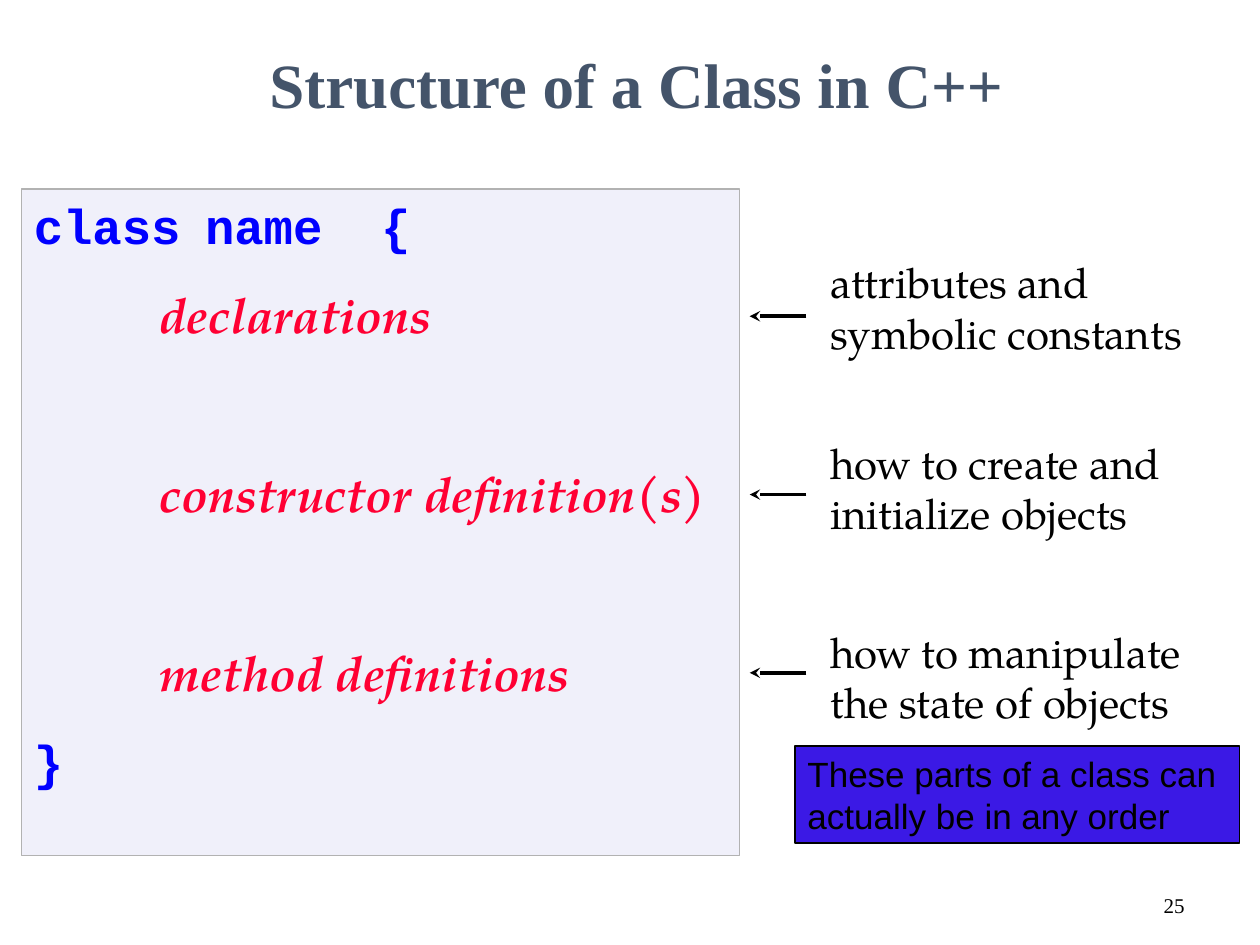
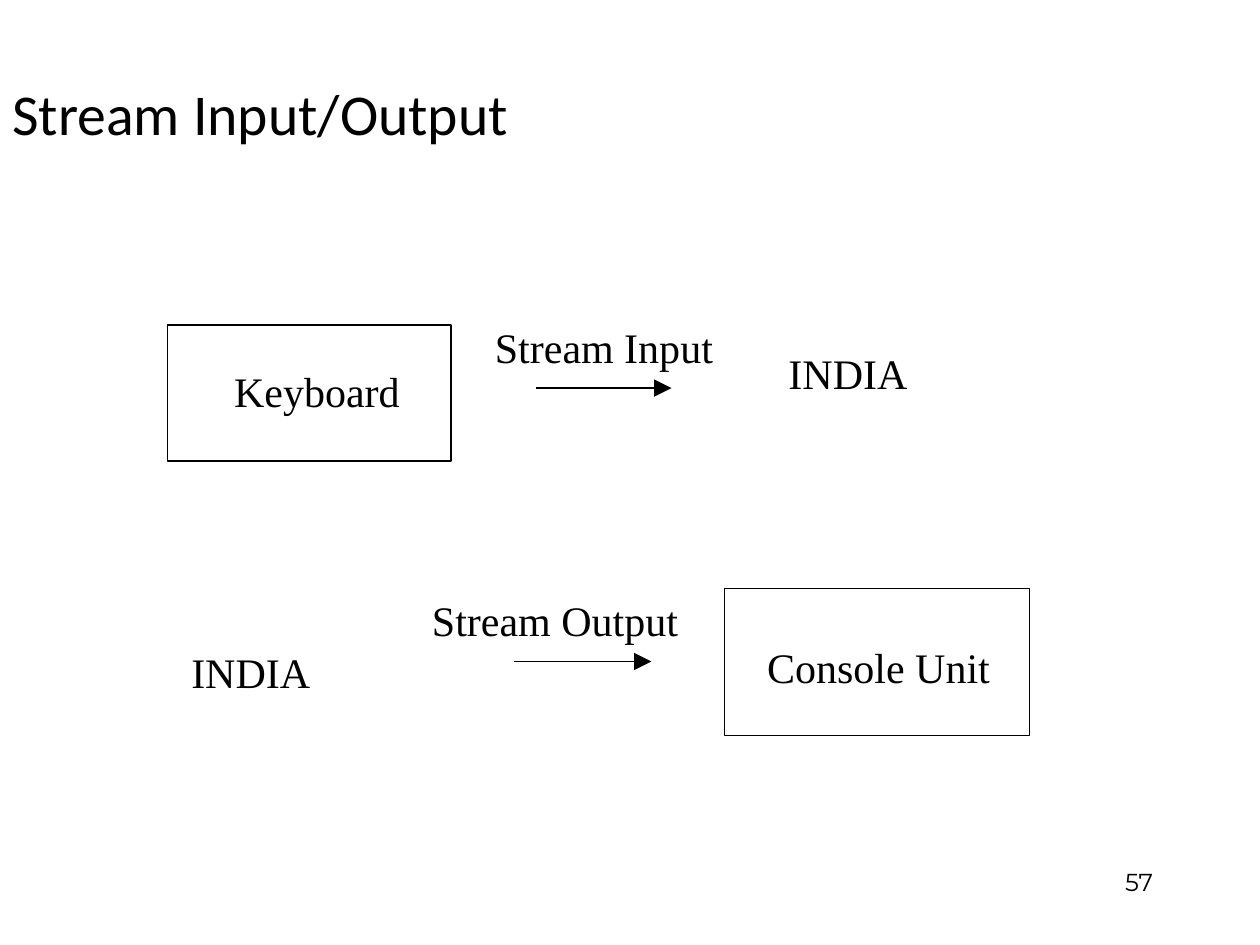
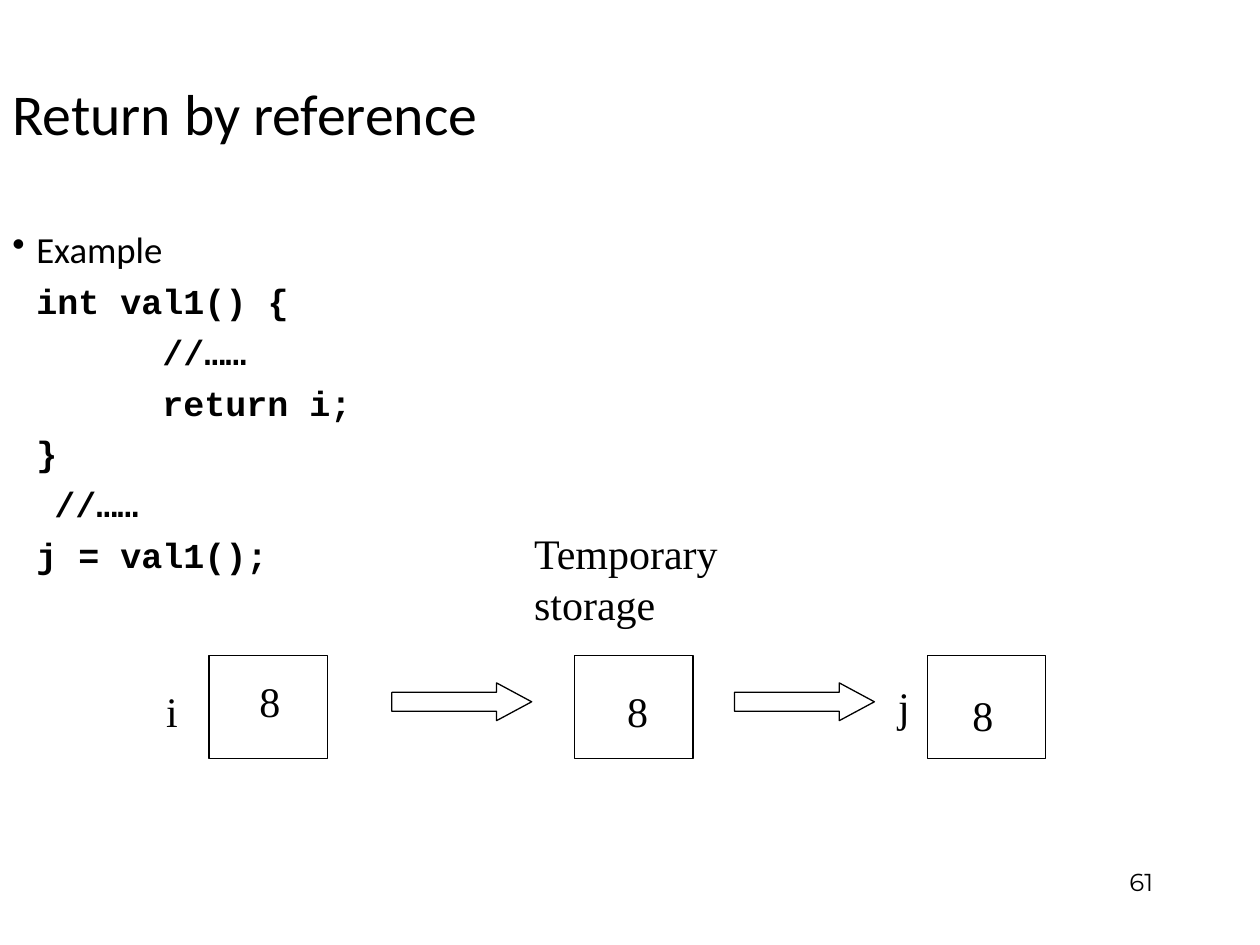
import pptx
import pptx.util
import pptx.dml.color
import pptx.enum.shapes
import pptx.enum.text
import pptx.oxml
import pptx.oxml.ns

Inches = pptx.util.Inches
Pt = pptx.util.Pt
SHAPES = pptx.enum.shapes.MSO_SHAPE
ALIGN = pptx.enum.text.PP_ALIGN
ANCHOR = pptx.enum.text.MSO_ANCHOR

COLORS = {
    "ink": "000000",
    "title": "44546A",
    "panel": "F0F0FA",
    "panel_line": "B2B2B2",
    "keyword": "0000FF",
    "part": "FF0033",
    "note": "3B19E5",
}
SERIF, SANS, CODE = "Times New Roman", "Calibri", "Courier New"
BOOK, NUMBER = "TeX Gyre Pagella", "Montserrat"


def color(name):
    return pptx.dml.color.RGBColor.from_string(COLORS[name])


def style(item, size, face, ink="ink", bold=False, italic=False):
    """Format the font of a paragraph's runs or of a single run."""
    for span in getattr(item, "runs", [item]):
        span.font.size = Pt(size)
        span.font.name = face
        span.font.bold = bold
        span.font.italic = italic
        span.font.color.rgb = color(ink)


def indent(para, left, first=0, bullet=None):
    properties = para._p.get_or_add_pPr()
    properties.set("marL", str(Inches(left)))
    properties.set("indent", str(Inches(first)))
    if bullet:
        mark = pptx.oxml.parse_xml(
            f'<a:buChar {pptx.oxml.ns.nsdecls("a")} char="{bullet}"/>')
        properties.append(mark)


def add_text(page, box, text, size, face, ink="ink", bold=False,
             align=ALIGN.LEFT, anchor=ANCHOR.TOP, wrap=True):
    label = page.shapes.add_textbox(*map(Inches, box))
    frame = label.text_frame
    frame.word_wrap = wrap
    if not wrap:
        frame.auto_size = pptx.enum.text.MSO_AUTO_SIZE.SHAPE_TO_FIT_TEXT
    frame.vertical_anchor = anchor
    frame.text = text
    for para in frame.paragraphs:
        para.alignment = align
        style(para, size, face, ink, bold)
    return frame


def add_label(page, left, top, width, text):
    add_text(page, (left, top, width, 0.5), text, 24, SERIF, wrap=False)


def add_box(page, box, fill=None, line="ink", weight=0.75, preset=SHAPES.RECTANGLE):
    shape = page.shapes.add_shape(preset, *map(Inches, box))
    shape.shadow.inherit = False
    if fill:
        shape.fill.solid()
        shape.fill.fore_color.rgb = color(fill)
    else:
        shape.fill.background()
    shape.line.color.rgb = color(line)
    shape.line.width = Pt(weight)
    shape.text_frame.word_wrap = True
    shape.text_frame.vertical_anchor = ANCHOR.TOP
    return shape


def add_arrow(page, start, end, y, weight, head, head_size="med"):
    arrow = page.shapes.add_connector(
        pptx.enum.shapes.MSO_CONNECTOR.STRAIGHT,
        Inches(start), Inches(y), Inches(end), Inches(y))
    arrow.line.color.rgb = color("ink")
    arrow.line.width = Pt(weight)
    namespace = pptx.oxml.ns.nsdecls("a")
    arrow.line._get_or_add_ln().append(pptx.oxml.parse_xml(
        f'<a:tailEnd {namespace} type="{head}" w="{head_size}" len="{head_size}"/>'))
    arrow._element.spPr.append(pptx.oxml.parse_xml(f"<a:effectLst {namespace}/>"))


def add_topic_frame(page, title, number):
    """Title and page number of the plain topic slides."""
    add_text(page, (7.17, 6.83, 2.08, 0.5), number, 14, NUMBER, align=ALIGN.RIGHT)
    frame = add_text(page, (0, 0.3, 9, 1.25), title, 33, SANS, anchor=ANCHOR.MIDDLE)
    frame.paragraphs[0].line_spacing = 0.9


def class_panel(page, box):
    frame = add_box(page, box, "panel", "panel_line", 1).text_frame
    opening = frame.paragraphs[0]
    opening.alignment = ALIGN.LEFT
    for text, face in (("class", CODE), ("  ", BOOK), ("name  {", CODE)):
        span = opening.add_run()
        span.text = text
        style(span, 28, face, "keyword", bold=True)
    parts = (("declarations", 17.5), ("constructor definition(s)", 68.5),
             ("method definitions", 68.5))
    for text, gap in parts:
        para = frame.add_paragraph()
        para.text = text
        para.alignment = ALIGN.LEFT
        para.space_before = Pt(gap)
        indent(para, 1)
        style(para, 28, BOOK, "part", bold=True, italic=True)
    closing = frame.add_paragraph()
    closing.text = "}"
    closing.alignment = ALIGN.LEFT
    closing.space_before = Pt(17.5)
    style(closing, 28, CODE, "keyword", bold=True)


def class_remarks(page, box):
    left, top, width, height = box
    remarks = (("attributes and symbolic constants", 0),
               ("how to create and initialize objects", 1.43),
               ("how to manipulate the state of objects", 2.93))
    for row, (text, offset) in enumerate(remarks):
        add_text(page, (left + 0.54, top + offset, width - 0.54, 0.9), text, 24, BOOK)
        add_arrow(page, left + 0.45, left, top + 0.52 + row * 1.415, 2, "stealth")


def order_note(page, box):
    frame = add_box(page, box, "note").text_frame
    frame.text = "These parts of a class can actually be in any order"
    frame.paragraphs[0].alignment = ALIGN.LEFT
    style(frame.paragraphs[0], 20, "Arial")


def class_slide(page):
    add_text(page, (7.17, 6.83, 2.33, 0.5), "25", 12, SERIF,
             align=ALIGN.RIGHT, anchor=ANCHOR.BOTTOM)
    add_text(page, (0.55, 0.31, 9, 1.25), "Structure of a Class in C++", 36, SERIF,
             "title", bold=True, align=ALIGN.CENTER)
    class_panel(page, (0.17, 1.5, 5.7, 5.29))
    class_remarks(page, (5.95, 1.99, 3.8, 4.23))
    order_note(page, (6.31, 5.92, 3.53, 0.77))


def input_flow(page, box):
    left, top, width, height = box
    add_box(page, (left, top, 2.25, height))
    add_label(page, left + 0.43, top + 0.27, 1.6, "Keyboard")
    add_label(page, left + 2.5, top - 0.08, 1.93, "Stream Input")
    add_arrow(page, left + 2.92, left + 4, top + 0.5, 0.75, "triangle", "lg")
    add_label(page, left + width - 1.14, top + 0.13, 1.2, "INDIA")


def output_flow(page, box):
    left, top, width, height = box
    add_label(page, left, top + 0.41, 1.2, "INDIA")
    add_label(page, left + 1.91, top, 2.15, "Stream Output")
    add_arrow(page, left + 2.66, left + 3.75, top + 0.58, 0.75, "triangle", "lg")
    unit = left + width - 2.42
    add_box(page, (unit, top, 2.42, height))
    add_label(page, unit + 0.24, top + 0.37, 1.97, "Console Unit")


def stream_slide(page):
    add_topic_frame(page, "Stream Input/Output", "57")
    input_flow(page, (1.33, 2.58, 5.97, 1.08))
    output_flow(page, (1.42, 4.67, 6.75, 1.17))


def code_example(page, box):
    code = (("int val1() {", 0.19), ("//……", 1.19), ("return i;", 1.19),
            ("}", 0.19), ("  //……", 0), ("j = val1();", 0.19))
    frame = add_text(page, box, "Example", 21, SANS)
    indent(frame.paragraphs[0], 0.19, -0.19, "•")
    for text, left in code:
        para = frame.add_paragraph()
        para.text = text
        para.line_spacing = 0.9
        para.space_before = Pt(7.5)
        indent(para, left)
        style(para, 20, CODE, bold=True)


def storage_diagram(page, box):
    left, top, width, height = box
    cells = ((0.44, 0.3, 0.11), (3.34, 0.32, 0.19), (6.14, 0.26, 0.22))
    for cell, value_x, value_y in cells:
        add_box(page, (left + cell, top + 1.06, 0.94, 0.82))
        add_label(page, left + cell + value_x, top + 1.06 + value_y, 0.36, "8")
    for offset in (1.89, 4.61):
        arrow = add_box(page, (left + offset, top + 1.28, 1.11, 0.3),
                        preset=SHAPES.RIGHT_ARROW)
        arrow.adjustments[1] = 0.93
    add_label(page, left, top + 1.25, 0.29, "i")
    add_label(page, left + 5.81, top + 1.21, 0.29, "j")
    add_text(page, (left + 2.92, top, 1.71, 0.9), "Temporary\nstorage", 24, SERIF)


def reference_slide(page):
    add_topic_frame(page, "Return by reference", "61")
    code_example(page, (0, 1.75, 8.5, 4.6))
    storage_diagram(page, (1.22, 4.14, 7.08, 1.88))


def main():
    deck = pptx.Presentation()
    deck.slide_width, deck.slide_height = Inches(10), Inches(7.5)
    for build in (class_slide, stream_slide, reference_slide):
        build(deck.slides.add_slide(deck.slide_layouts[6]))
    deck.save("out.pptx")


if __name__ == "__main__":
    main()
